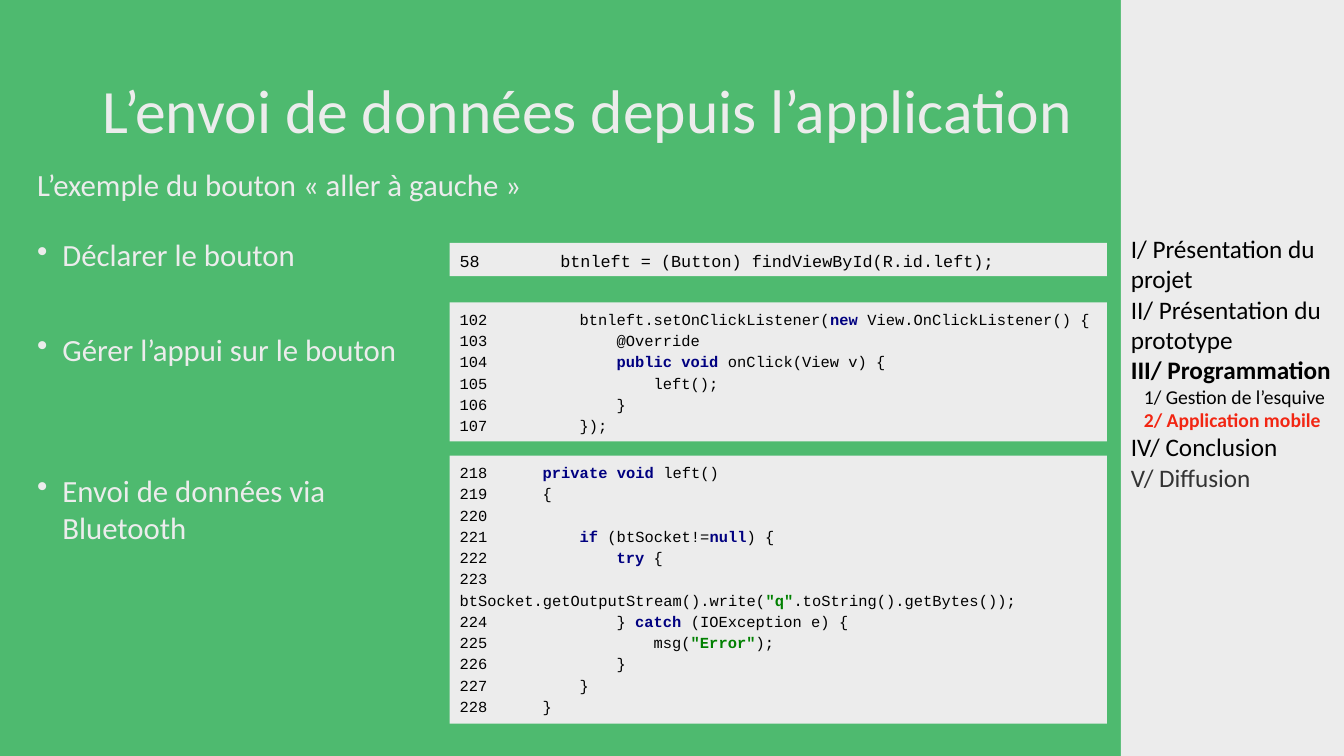
from dataclasses import dataclass
from typing import Any

from lxml import etree
from pptx import Presentation
from pptx.dml.color import RGBColor
from pptx.enum.shapes import MSO_SHAPE
from pptx.enum.text import MSO_ANCHOR, MSO_AUTO_SIZE, PP_ALIGN
from pptx.oxml.ns import qn
from pptx.util import Inches, Pt

RECTANGLE = MSO_SHAPE.RECTANGLE
TOP, MIDDLE = MSO_ANCHOR.TOP, MSO_ANCHOR.MIDDLE
LEFT = PP_ALIGN.LEFT
NO_FIT = MSO_AUTO_SIZE.NONE

COLOURS = {
    "green": "4EBA6F",
    "pale": "ECECEC",
    "black": "000000",
    "grey": "333333",
    "red": "F22613",
    "keyword": "000080",
    "string": "008000",
}
SLIDE_WIDTH, SLIDE_HEIGHT = Inches(13.33), Inches(7.5)
TITLE_ONLY = 5
MONO_ADVANCE = 0.6  # character width as a share of the font size


@dataclass
class Area:
    """A place on the slide, in percent of its width and height."""
    left: float
    top: float
    width: float
    height: float

    def lengths(self) -> tuple[int, int, int, int]:
        return (round(SLIDE_WIDTH * self.left / 100), round(SLIDE_HEIGHT * self.top / 100),
                round(SLIDE_WIDTH * self.width / 100), round(SLIDE_HEIGHT * self.height / 100))


@dataclass
class Line:
    text: str
    size: float = 18
    colour: str = "black"
    bold: bool = False
    indent: float = 0
    before: float = 0
    spacing: float = 1.0


@dataclass
class CodeLine:
    """Odd parts of the text, split at bars, are highlighted."""
    number: int
    column: int = 0
    text: str = ""


@dataclass
class Listing:
    top: float
    height: float
    size: float
    lines: list[CodeLine]


TITLE = Line("L’envoi de données depuis l’application", 44, "pale", spacing=0.9)
SUBTITLE = Line("L’exemple du bouton « aller à gauche »", 22, "pale")
STEPS = [
    Line("Déclarer le bouton", 22, "pale", indent=0.25, spacing=0.9),
    Line("Gérer l’appui sur le bouton", 22, "pale", indent=0.25, before=44, spacing=0.9),
    Line("Envoi de données via Bluetooth", 22, "pale", indent=0.25, before=74),
]
OUTLINE = [
    Line("I/ Présentation du projet"),
    Line("II/ Présentation du prototype"),
    Line("III/ Programmation", bold=True),
    Line("1/ Gestion de l’esquive", 14, indent=0.13),
    Line("2/ Application mobile", 14, "red", True, indent=0.13),
    Line("IV/ Conclusion"),
    Line("V/ Diffusion", colour="grey"),
]
LISTINGS = [
    Listing(32.13, 4.4, 12, [
        CodeLine(58, 10, "btnleft = (Button) findViewById(R.id.left);"),
    ]),
    Listing(40, 18.4, 11, [
        CodeLine(102, 13, "btnleft.setOnClickListener(|new |View.OnClickListener() {"),
        CodeLine(103, 17, "@Override"),
        CodeLine(104, 17, "|public void |onClick(View v) {"),
        CodeLine(105, 21, "left();"),
        CodeLine(106, 17, "}"),
        CodeLine(107, 13, "});"),
    ]),
    Listing(60.27, 35.47, 11, [
        CodeLine(218, 9, "|private void |left()"),
        CodeLine(219, 9, "{"),
        CodeLine(220),
        CodeLine(221, 13, "|if |(btSocket!=|null|) {"),
        CodeLine(222, 17, "|try |{"),
        CodeLine(223, 21, 'btSocket.getOutputStream().write(|"q"|.toString().getBytes());'),
        CodeLine(224, 17, "} |catch |(IOException e) {"),
        CodeLine(225, 21, 'msg(|"Error"|);'),
        CodeLine(226, 17, "}"),
        CodeLine(227, 13, "}"),
        CodeLine(228, 9, "}"),
    ]),
]


def rgb(name: str) -> RGBColor:
    return RGBColor.from_string(COLOURS[name])


def apply(target: Any, values: dict[str, Any]) -> None:
    for name, value in values.items():
        setattr(target, name, value)


def set_frame(box: Any, anchor: Any = TOP, **margins: int) -> None:
    apply(box.text_frame, {"word_wrap": True, "auto_size": NO_FIT,
                           "vertical_anchor": anchor, **margins})


def next_para(box: Any, index: int) -> Any:
    frame = box.text_frame
    return frame.add_paragraph() if index else frame.paragraphs[0]


def add_span(para: Any, text: str, size: float, colour: str,
             bold: bool = False, font: str = "Calibri") -> None:
    span = para.add_run()
    span.text = text
    apply(span.font, {"name": font, "size": Pt(size), "bold": bold})
    span.font.color.rgb = rgb(colour)


def write_lines(box: Any, lines: list[Line], bullet: str = "") -> None:
    for index, line in enumerate(lines):
        para = next_para(box, index)
        apply(para, {"alignment": LEFT, "line_spacing": line.spacing,
                     "space_before": Pt(line.before)})
        add_span(para, line.text, line.size, line.colour, line.bold)
        if line.indent:
            properties = para._p.get_or_add_pPr()
            properties.set("marL", str(Inches(line.indent)))
            properties.set("indent", str(-Inches(line.indent) if bullet else 0))
            if bullet:
                etree.SubElement(properties, qn("a:buChar"), char=bullet)


def add_panel(page: Any, area: Area) -> Any:
    panel = page.shapes.add_shape(RECTANGLE, *area.lengths())
    panel.shadow.inherit = False
    panel.fill.solid()
    panel.fill.fore_color.rgb = rgb("pale")
    panel.line.fill.background()
    return panel


def add_text(page: Any, area: Area, lines: list[Line], bullet: str = "", **margins: int) -> None:
    box = page.shapes.add_textbox(*area.lengths())
    set_frame(box, **margins)
    write_lines(box, lines, bullet)


def add_listing(page: Any, listing: Listing) -> None:
    panel = add_panel(page, Area(33.45, listing.top, 48.9, listing.height))
    set_frame(panel)
    for index, line in enumerate(listing.lines):
        para = next_para(panel, index)
        apply(para, {"alignment": LEFT, "line_spacing": 1.15})
        add_span(para, str(line.number), listing.size, "black", font="Courier New")
        if not line.text:
            continue
        # The code starts at a tab stop set by its column
        stops = etree.SubElement(para._p.get_or_add_pPr(), qn("a:tabLst"))
        position = Pt(line.column * listing.size * MONO_ADVANCE)
        etree.SubElement(stops, qn("a:tab"), pos=str(position), algn="l")
        add_span(para, "\t", listing.size, "black", font="Courier New")
        for part, text in enumerate(line.text.split("|")):
            marked = part % 2 == 1
            accent = "string" if text.startswith('"') else "keyword"
            if text:
                add_span(para, text, listing.size, accent if marked else "black",
                         marked, "Courier New")


def main() -> None:
    deck = Presentation()
    apply(deck, {"slide_width": SLIDE_WIDTH, "slide_height": SLIDE_HEIGHT})
    page = deck.slides.add_slide(deck.slide_layouts[TITLE_ONLY])
    page.background.fill.solid()
    page.background.fill.fore_color.rgb = rgb("green")

    # Title
    title = page.shapes.title
    apply(title, dict(zip(("left", "top", "width", "height"),
                          Area(6.9, 5.33, 76.58, 19.33).lengths())))
    set_frame(title, MIDDLE)
    write_lines(title, [TITLE])

    # Steps and their code
    add_text(page, Area(2.03, 24.67, 31.35, 63.47), STEPS, "•", margin_top=Inches(0.53))
    for listing in LISTINGS:
        add_listing(page, listing)

    # Outline of the talk
    sidebar = add_panel(page, Area(83.4, 0, 16.6, 100))
    set_frame(sidebar, MIDDLE, margin_bottom=Inches(0.35))
    write_lines(sidebar, OUTLINE)

    # Subtitle
    add_text(page, Area(2.03, 21.2, 44.78, 10.27), [SUBTITLE])
    deck.save("out.pptx")


if __name__ == "__main__":
    main()
